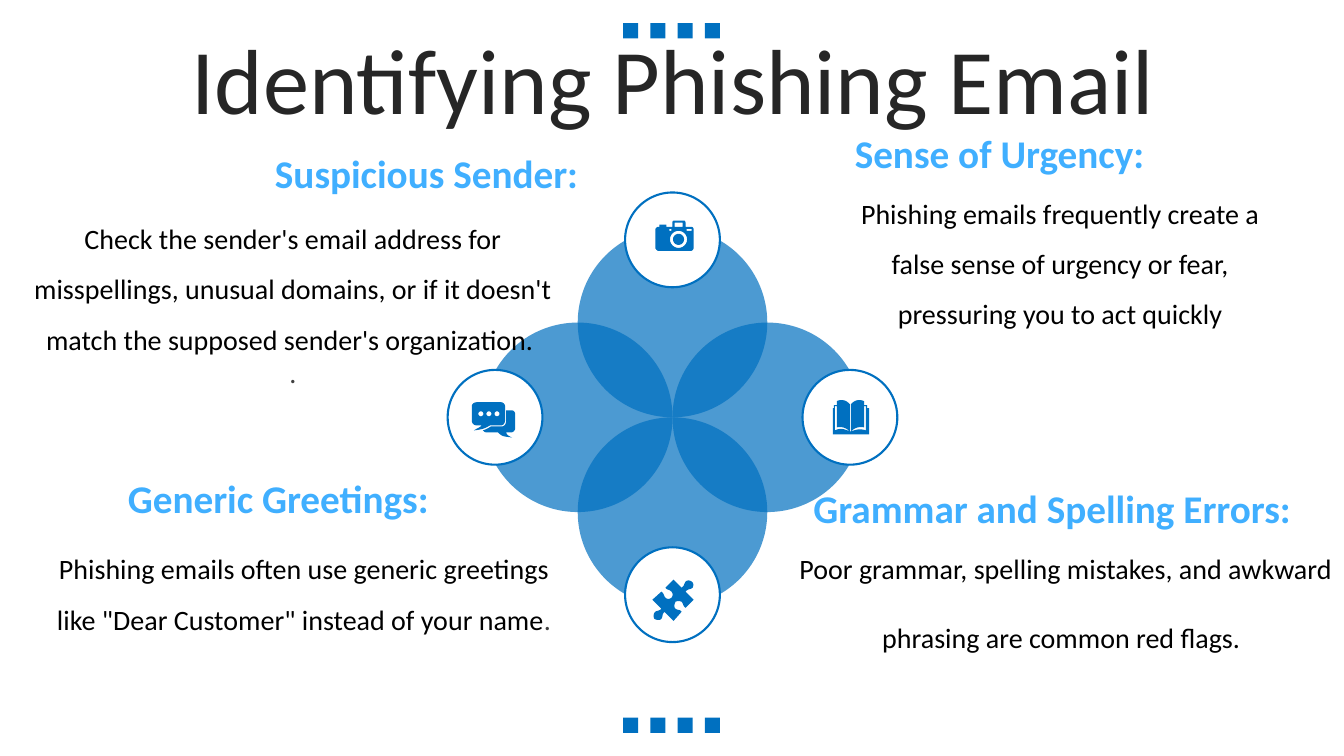
from dataclasses import dataclass

from lxml import etree
from pptx import Presentation
from pptx import util as u
from pptx.dml.color import RGBColor
from pptx.enum import shapes, text
from pptx.oxml.ns import qn


@dataclass(frozen=True)
class Theme:
    font: str = "Calibri"
    blue: str = "0070C0"
    sky: str = "40AFFF"
    white: str = "FFFFFF"
    ink: str = "000000"
    gray: str = "404040"
    title: str = "262626"
    title_size: int = 66
    heading_size: int = 28
    body_size: int = 20


def ring(x, y, r):
    """Outline of a circle in the icon notation, as four curves."""
    k = round(r * 0.55, 2)
    return (f"{x},{y - r} {x + k},{y - r};{x + r},{y - k};{x + r},{y} "
            f"{x + r},{y + k};{x + k},{y + r};{x},{y + r} "
            f"{x - k},{y + r};{x - r},{y + k};{x - r},{y} "
            f"{x - r},{y - k};{x - k},{y - r};{x},{y - r}")


# Icon outlines in hundredths of an inch: "|" parts contours, a blank parts
# segments, and a segment of three points is a curve.
CAMERA = "|".join([
    ring(673, 237.5, 5.5), ring(673, 237.5, 8.5),
    "664,227 664,229 666,229 666,227",
    "681,227 681,229 686,229 686,227",
    "669,221 669,225 677,225 677,221",
    "668,219 679,219 679,219;680,220;680,221 680,225 685,225 "
    "687,225;688,226;688,228 688,246 688,247;687,249;685,249 653,249 "
    "652,249;650,247;650,246 650,228 650,226;652,225;653,225 654,225 "
    "654,223 660,223 661,223 661,225 667,225 667,221 667,220;667,219;668,219",
])
CHAT = "|".join([ring(x, 410.5, 2.5) for x in (477, 485, 493)] + [
    "502,407 507,407 509,407;511,408;511,411 511,425 511,427;509,429;507,429 "
    "502,429 503,431;503,432;508,434 499,433;498,433;494,429 483,429 "
    "481,429;480,428;479,427 482,426;484,425;487,423 498,423 "
    "500,423;502,421;502,418",
    "473,399 497,399 499,399;501,401;501,403 501,417 501,420;499,422;497,422 "
    "486,422 481,425;479,426;470,427 475,424;476,424;478,422 473,422 "
    "470,422;468,420;468,417 468,403 468,401;470,399;473,399",
])
BOOK = ("843,428 844,428 850,426;853,425;859,427 859,403 857,403 857,424 "
        "853,423;848,424;844,428 844,401 847,398;849,397;852,397 "
        "854,397;855,397;857,398 857,402 860,402 860,405 862,405 862,431 "
        "826,431 826,405 827,405 827,402 830,402 830,398 "
        "832,397;833,397;835,397 838,397;840,398;843,401 843,428 "
        "839,424;834,423;830,424 830,403 828,403 828,427 834,424;838,426;843,428")
PUZZLE = ("686,577 688,578;688,581;687,583 685,585;682,584;680,587 688,595 680,603 "
          "677,601;678,599;676,597 674,596;672,596;670,597 669,599;668,602;670,604 "
          "673,606;674,604;676,607 668,616 659,607 656,610;658,611;656,614 "
          "654,616;651,615;649,614 648,612;648,610;649,608 651,605;653,607;656,604 "
          "647,595 656,587 659,589;658,591;660,593 662,595;665,594;666,593 "
          "667,592;668,589;666,587 663,584;662,586;660,583 668,575 676,583 "
          "679,581;678,580;680,577 682,575;685,576;686,577")


def trace(contour, steps=6):
    """Turn one contour in the icon notation into points in EMU."""
    points = []
    for segment in contour.split():
        corners = [tuple(map(float, pair.split(","))) for pair in segment.split(";")]
        if len(corners) == 1:
            points += corners
            continue
        bends = [points[-1]] + corners
        for step in range(1, steps + 1):
            t = step / steps
            weights = ((1 - t) ** 3, 3 * t * (1 - t) ** 2, 3 * t * t * (1 - t), t ** 3)
            points.append(tuple(sum(w * bend[axis] for w, bend in zip(weights, bends))
                                for axis in (0, 1)))
    return [(u.Inches(x / 100), u.Inches(y / 100)) for x, y in points]


class SlideBuilder:
    def __init__(self, page, theme):
        self.page = page
        self.theme = theme

    def paint(self, shape, fill, line=None, opacity=None):
        shape.shadow.inherit = False
        shape.fill.solid()
        shape.fill.fore_color.rgb = RGBColor.from_string(fill)
        if opacity:
            color = shape._element.spPr.find(qn("a:solidFill"))[0]
            etree.SubElement(color, qn("a:alpha"), val=str(opacity * 1000))
        if line:
            shape.line.color.rgb = RGBColor.from_string(line)
            shape.line.width = u.Pt(1.5)
        else:
            shape.line.fill.background()

    def square(self, left, top, size):
        shape = self.page.shapes.add_shape(
            shapes.MSO_SHAPE.RECTANGLE, *map(u.Inches, (left, top, size, size)))
        self.paint(shape, self.theme.blue)

    def circle(self, x, y, size, fill, line=None, opacity=None):
        shape = self.page.shapes.add_shape(
            shapes.MSO_SHAPE.OVAL,
            *map(u.Inches, (x - size / 2, y - size / 2, size, size)))
        self.paint(shape, fill, line, opacity)

    def icon(self, outline):
        first, *others = [trace(contour) for contour in outline.split("|")]
        builder = self.page.shapes.build_freeform(*first[0])
        builder.add_line_segments(first[1:])
        for points in others:
            builder.move_to(*points[0])
            builder.add_line_segments(points[1:])
        self.paint(builder.convert_to_shape(), self.theme.blue)

    def text_box(self, area, paragraphs, align, anchor=text.MSO_ANCHOR.TOP, indent=0):
        """Add a text box; each paragraph is (line spacing, runs), each run
        is (words, size, color, bold)."""
        box = self.page.shapes.add_textbox(*map(u.Inches, area))
        frame = box.text_frame
        frame.word_wrap = True
        frame.vertical_anchor = anchor
        for index, (spacing, runs) in enumerate(paragraphs):
            para = frame.add_paragraph() if index else frame.paragraphs[0]
            para.alignment = align
            para.line_spacing = spacing
            if indent:
                para._p.get_or_add_pPr().set("marL", str(u.Inches(indent)))
            for words, size, color, bold in runs:
                span = para.add_run()
                span.text = words
                span.font.name = self.theme.font
                span.font.size = u.Pt(size)
                span.font.bold = bold
                span.font.color.rgb = RGBColor.from_string(color)

    def title(self, area, words):
        run = (words, self.theme.title_size, self.theme.title, False)
        self.text_box(area, [(0.9, [run])], text.PP_ALIGN.CENTER, text.MSO_ANCHOR.MIDDLE)

    def heading(self, area, words, align=text.PP_ALIGN.LEFT, indent=0):
        run = (words, self.theme.heading_size, self.theme.sky, True)
        self.text_box(area, [(1.0, [run])], align, indent=indent)

    def body(self, area, *paragraphs):
        self.text_box(area, paragraphs, text.PP_ALIGN.CENTER)


def main():
    deck = Presentation()
    deck.slide_width, deck.slide_height = u.Inches(13.33), u.Inches(7.5)
    theme = Theme()
    slide = SlideBuilder(deck.slides.add_slide(deck.slide_layouts[6]), theme)

    for top in (0.23, 7.12):
        for column in range(4):
            slide.square(6.18 + column * 0.27, top, 0.15)
    slide.title((0.35, 0.44, 12.66, 0.79), "Identifying Phishing Email")

    center_x, center_y = 6.67, 4.14
    directions = ((0, -1), (-1, 0), (0, 1), (1, 0))
    for dx, dy in directions:
        slide.circle(center_x + dx * 0.94, center_y + dy * 0.94, 1.88,
                     theme.blue, opacity=70)
    for dx, dy in directions:
        slide.circle(center_x + dx * 1.76, center_y + dy * 1.76, 0.94,
                     theme.white, line=theme.blue)

    def plain(words, color=theme.ink, size=theme.body_size):
        return words, size, color, False

    slide.body((0.16, 1.98, 5.49, 2.46),
               (1.5, [plain("Check the sender's email address for misspellings, unusual "
                            "domains, or if it doesn't match the supposed sender's "
                            "organization. ")]),
               (1.0, [plain(".", theme.gray)]))
    slide.heading((0.38, 1.43, 5.45, 0.57), "Suspicious Sender:", text.PP_ALIGN.RIGHT)
    slide.body((0.38, 5.26, 5.27, 1.55),
               (1.5, [plain("Phishing emails often use generic greetings like "
                            "\"Dear Customer\" instead of your name"),
                      plain(".", theme.gray)]))
    slide.heading((0.38, 4.66, 5.22, 0.57), "Generic Greetings:", indent=0.79)
    slide.body((7.66, 5.26, 5.82, 1.22),
               (1.5, [plain("Poor grammar, spelling mistakes, and awkward phrasing are "
                            "common red flags."),
                      plain(" ", size=theme.heading_size)]))
    slide.heading((7.97, 4.76, 5.77, 0.57), "Grammar and Spelling Errors:")
    slide.body((8.38, 1.73, 4.27, 2.05),
               (1.5, [plain("Phishing emails frequently create a false sense of urgency "
                            "or fear, pressuring you to act quickly")]))
    slide.heading((8.38, 1.23, 4.23, 0.57), "Sense of Urgency:")

    for outline in (PUZZLE, BOOK, CHAT, CAMERA):
        slide.icon(outline)
    deck.save("out.pptx")


if __name__ == "__main__":
    main()
